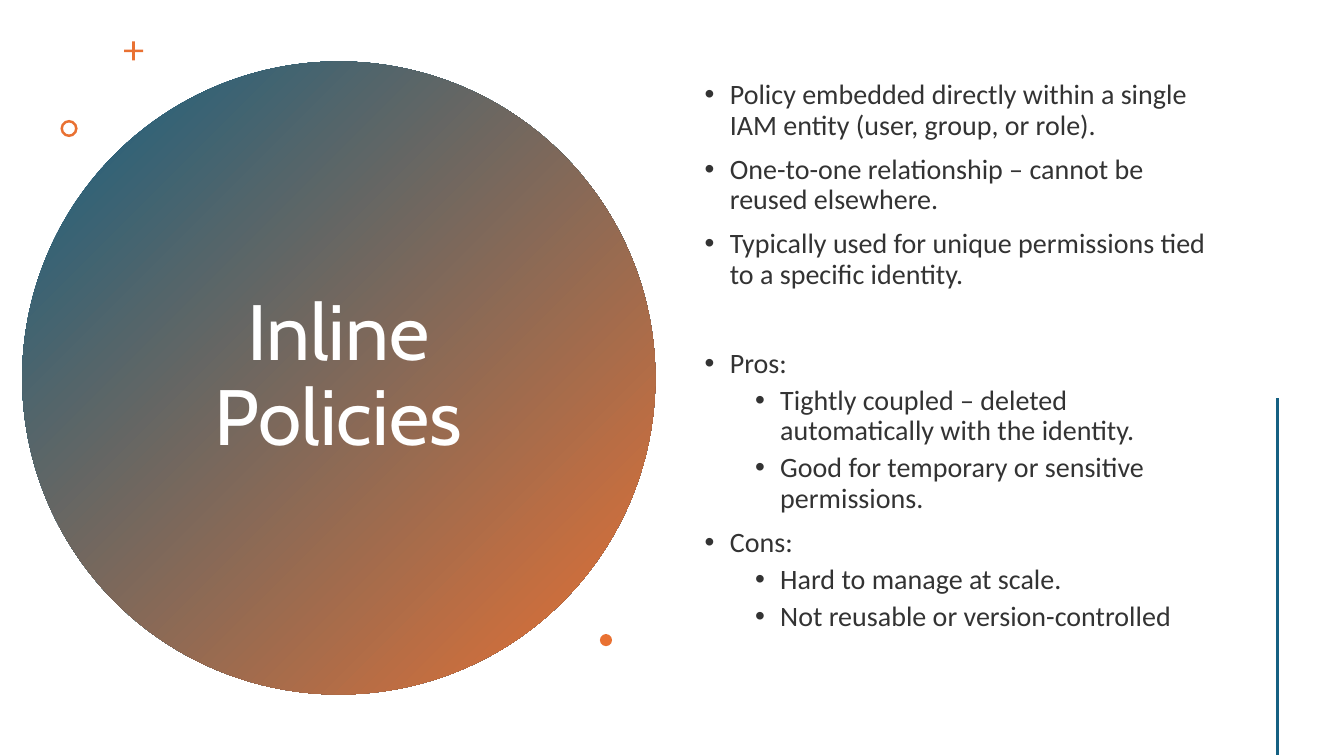
"""Build the Inline Policies slide."""
from dataclasses import dataclass
from typing import Any

from lxml import etree
from pptx import Presentation
from pptx import util as u
from pptx.dml import color
from pptx.enum import shapes, text
from pptx.oxml import ns

BLUE, ORANGE, WHITE, GREY = "156082", "E97132", "FFFFFF", "333333"
KIND = shapes.MSO_SHAPE


@dataclass
class Mark:
    kind: Any
    left: float
    top: float
    size: float
    fills: tuple[str, ...]
    adj: float | None = None


@dataclass
class Point:
    words: str
    level: int = 0
    gap: float | None = None


MARKS = [
    Mark(KIND.OVAL, 0.22, 0.61, 6.28, (BLUE, ORANGE)),
    Mark(KIND.CROSS, 1.23, 0.41, 0.19, (ORANGE,), 0.43),
    Mark(KIND.DONUT, 0.6, 1.19, 0.17, (ORANGE,), 0.15),
    Mark(KIND.OVAL, 5.95, 6.29, 0.12, (ORANGE,)),
]
POINTS = [
    Point("Policy embedded directly within a single IAM entity (user, group, or role).", gap=0),
    Point("One-to-one relationship – cannot be reused elsewhere."),
    Point("Typically used for unique permissions tied to a specific identity."),
    Point("Pros:", gap=42),
    Point("Tightly coupled – deleted automatically with the identity.", 1),
    Point("Good for temporary or sensitive permissions.", 1),
    Point("Cons:"),
    Point("Hard to manage at scale.", 1),
    Point("Not reusable or version-controlled", 1),
]


def rgb(code: str) -> color.RGBColor:
    return color.RGBColor.from_string(code)


def style(item: Any, form: dict[str, Any]) -> None:
    for name, value in form.items():
        setattr(item, name, value)


def draw(slide: Any, mark: Mark) -> None:
    box = map(u.Inches, (mark.left, mark.top, mark.size, mark.size))
    shape = slide.shapes.add_shape(mark.kind, *box)
    shape.shadow.inherit = False
    shape.line.fill.background()
    if mark.adj is not None:
        shape.adjustments[0] = mark.adj
    if len(mark.fills) == 1:
        shape.fill.solid()
        shape.fill.fore_color.rgb = rgb(mark.fills[0])
        return
    shape.fill.gradient()
    shape.fill.gradient_angle = 315
    for stop, code in zip(shape.fill.gradient_stops, mark.fills):
        stop.color.rgb = rgb(code)


def frame(slide: Any, *box: float) -> Any:
    body = slide.shapes.add_textbox(*map(u.Inches, box)).text_frame
    style(body, {"word_wrap": True, "vertical_anchor": text.MSO_ANCHOR.MIDDLE})
    return body


def write(para: Any, words: str, face: str, size: float, code: str) -> None:
    run = para.add_run()
    run.text = words
    style(run.font, {"name": face, "size": u.Pt(size)})
    run.font.color.rgb = rgb(code)


def bullet(para: Any, level: int) -> None:
    props = para._p.get_or_add_pPr()
    props.set("marL", str(u.Inches(0.25 + 0.5 * level)))
    props.set("indent", str(u.Inches(-0.25)))
    etree.SubElement(props, ns.qn("a:buFont")).set("typeface", "Arial")
    etree.SubElement(props, ns.qn("a:buChar")).set("char", "•")


def title(slide: Any) -> None:
    para = frame(slide, 1.36, 1.41, 3.99, 4.67).paragraphs[0]
    style(para, {"alignment": text.PP_ALIGN.CENTER, "line_spacing": 0.9})
    write(para, "Inline Policies", "Cabin", 56, WHITE)


def points(slide: Any) -> None:
    body = frame(slide, 6.89, 0.57, 5.22, 5.94)
    for rank, point in enumerate(POINTS):
        para = body.add_paragraph() if rank else body.paragraphs[0]
        gap = (5 if point.level else 10) if point.gap is None else point.gap
        bullet(para, point.level)
        style(para, {"level": point.level, "line_spacing": 0.9, "space_before": u.Pt(gap)})
        write(para, point.words, "Calibri", 20, GREY)


def rule(slide: Any) -> None:
    ends = map(u.Inches, (12.67, 3.95, 12.67, 7.49))
    line = slide.shapes.add_connector(shapes.MSO_CONNECTOR.STRAIGHT, *ends)
    line.line.width = u.Pt(2)
    line.line.color.rgb = rgb(BLUE)
    etree.SubElement(line._element.spPr, ns.qn("a:effectLst"))


def main() -> None:
    deck = Presentation()
    style(deck, {"slide_width": u.Inches(13.33), "slide_height": u.Inches(7.5)})
    slide = deck.slides.add_slide(deck.slide_layouts[6])
    for mark in MARKS:
        draw(slide, mark)
    title(slide)
    points(slide)
    rule(slide)
    deck.save("out.pptx")


if __name__ == "__main__":
    main()
